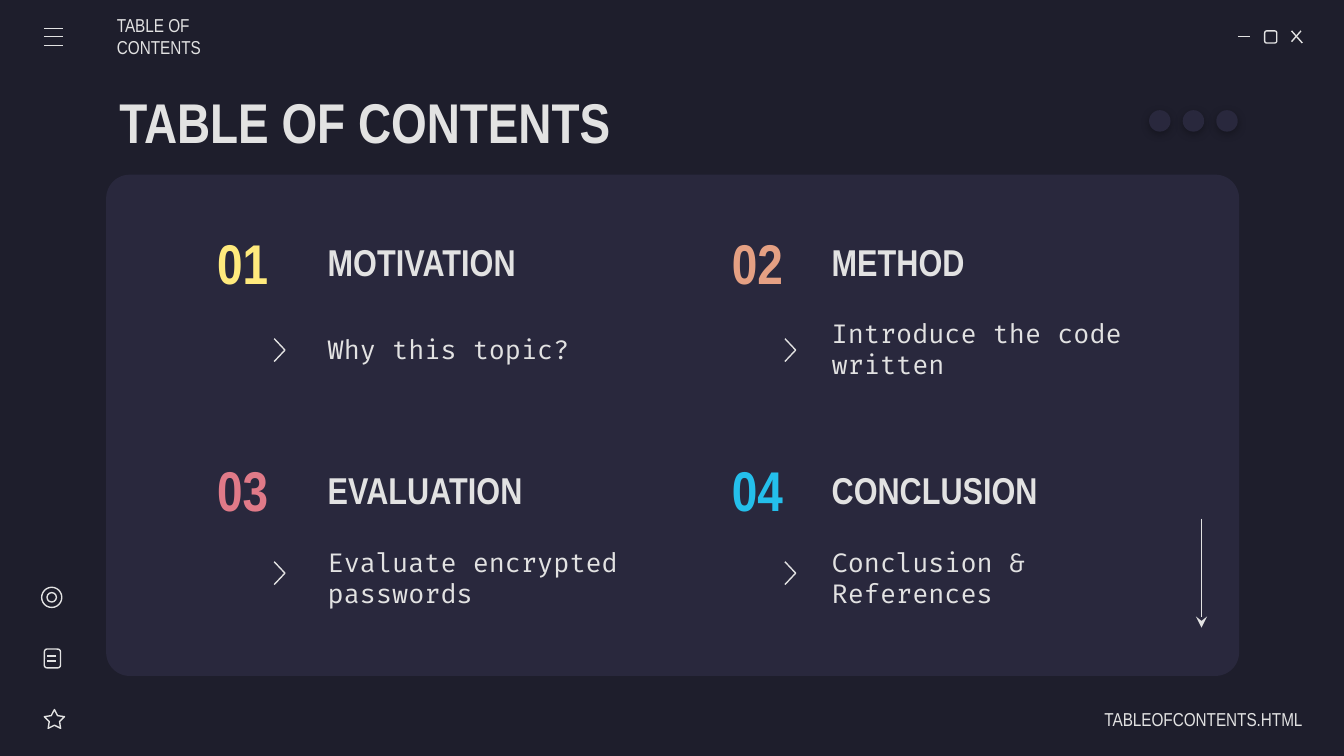
from dataclasses import dataclass

from lxml import etree
from pptx import Presentation
from pptx.dml.color import RGBColor
from pptx.enum.shapes import MSO_CONNECTOR as Connector, MSO_SHAPE as Shape
from pptx.enum.text import MSO_ANCHOR as Anchor, PP_ALIGN as Align
from pptx.oxml.ns import qn
from pptx.util import Inches, Pt


@dataclass(frozen=True)
class Theme:
    background: str = "1E1E2C"
    panel: str = "29283D"
    ink: str = "E2E2E2"
    shadow: str = "000000"
    numbers: tuple = ("FFEA7D", "E5A083", "E07A88", "24BFEB")
    heading_font: str = "Arial Narrow"
    code_font: str = "Fira Code"
    title_size: int = 30
    heading_size: int = 20
    body_size: int = 14
    label_size: int = 10
    line_width: float = 0.75


class SlideBuilder:
    def __init__(self, slide, theme):
        self.slide = slide
        self.theme = theme
        self.fill(slide.background, theme.background)

    def fill(self, target, color):
        target.fill.solid()
        target.fill.fore_color.rgb = RGBColor.from_string(color)

    def stroke(self, line):
        line.color.rgb = RGBColor.from_string(self.theme.ink)
        line.width = Pt(self.theme.line_width)

    def outline(self, shape):
        shape.shadow.inherit = False
        shape.fill.background()
        self.stroke(shape.line)

    def shape(self, kind, x, y, w, h, color=None, adjustments=()):
        """Filled shape when a color is given, otherwise an outlined one."""
        shape = self.slide.shapes.add_shape(
            kind, Inches(x), Inches(y), Inches(w), Inches(h))
        for index, value in enumerate(adjustments):
            shape.adjustments[index] = value
        if color:
            shape.shadow.inherit = False
            self.fill(shape, color)
            shape.line.fill.background()
        else:
            self.outline(shape)
        return shape

    def soft_shadow(self, shape):
        effects = shape._element.spPr.find(qn("a:effectLst"))
        outer = etree.SubElement(
            effects, qn("a:outerShdw"), blurRad=str(Pt(4.5)),
            dist=str(Pt(1.5)), dir="5400000", algn="bl", rotWithShape="0")
        color = etree.SubElement(outer, qn("a:srgbClr"), val=self.theme.shadow)
        etree.SubElement(color, qn("a:alpha"), val="30000")

    def line(self, x1, y1, x2, y2, arrow=False):
        line = self.slide.shapes.add_connector(
            Connector.STRAIGHT, Inches(x1), Inches(y1), Inches(x2), Inches(y2))
        self.stroke(line.line)
        properties = line._element.spPr
        if arrow:
            etree.SubElement(properties.find(qn("a:ln")), qn("a:tailEnd"),
                             type="stealth", w="med", len="med")
        etree.SubElement(properties, qn("a:effectLst"))

    def chevron(self, x, y, w=0.08, h=0.17):
        builder = self.slide.shapes.build_freeform(Inches(x), Inches(y))
        builder.add_line_segments(
            [(Inches(x + w), Inches(y + h / 2)), (Inches(x), Inches(y + h))],
            close=False)
        self.outline(builder.convert_to_shape())

    def text(self, text, x, y, w, h, size, color=None, font=None, bold=False,
             align=Align.LEFT, left=0.1, right=0.1):
        box = self.slide.shapes.add_textbox(
            Inches(x), Inches(y), Inches(w), Inches(h))
        frame = box.text_frame
        frame.word_wrap = True
        frame.vertical_anchor = Anchor.MIDDLE
        frame.margin_left, frame.margin_right = Inches(left), Inches(right)
        frame.margin_top = frame.margin_bottom = Inches(0.1)
        frame.text = text
        paragraph = frame.paragraphs[0]
        paragraph.alignment = align
        for run in paragraph.runs:
            run.font.name = font or self.theme.heading_font
            run.font.size = Pt(size)
            run.font.bold = bold
            run.font.color.rgb = RGBColor.from_string(color or self.theme.ink)


def main():
    theme = Theme()
    presentation = Presentation()
    presentation.slide_width = Inches(10)
    presentation.slide_height = Inches(10 * 9 / 16)
    slide = presentation.slides.add_slide(presentation.slide_layouts[6])
    page = SlideBuilder(slide, theme)

    # Content panel
    page.shape(Shape.ROUNDED_RECTANGLE, 0.79, 1.3, 8.43, 3.73,
               theme.panel, [0.047])

    # Window controls: minimize, maximize, close
    page.line(9.21, 0.27, 9.3, 0.27)
    page.shape(Shape.ROUNDED_RECTANGLE, 9.41, 0.23, 0.09, 0.09)
    page.line(9.61, 0.23, 9.69, 0.32)
    page.line(9.68, 0.23, 9.61, 0.31)

    # Chapters in a two by two grid
    chapters = (
        ("MOTIVATION", "Why this topic?"),
        ("METHOD", "Introduce the code written"),
        ("EVALUATION", "Evaluate encrypted passwords"),
        ("CONCLUSION", "Conclusion & References"),
    )
    columns = ((1.35, 2.34, 2.04, 2.99), (5.18, 6.09, 5.84, 2.84))
    rows = ((1.67, 2.22, 2.52), (3.36, 3.92, 4.18))
    for index, (heading, summary) in enumerate(chapters):
        number_x, heading_x, chevron_x, summary_width = columns[index % 2]
        heading_y, summary_y, chevron_y = rows[index // 2]
        page.text(heading, heading_x, heading_y, 2.56, 0.56,
                  theme.heading_size, bold=True)
        page.text(f"{index + 1:02}", number_x, heading_y, 0.91, 0.56,
                  theme.title_size, theme.numbers[index], bold=True,
                  align=Align.CENTER)
        page.text(summary, heading_x, summary_y, summary_width, 0.75,
                  theme.body_size, font=theme.code_font)
        page.chevron(chevron_x, chevron_y)

    # Title, tab label and file name
    page.text("TABLE OF CONTENTS", 0.79, 0.59, 8.43, 0.63,
              theme.title_size, bold=True)
    page.text("TABLE OF CONTENTS", 0.87, 0.12, 1.17, 0.3,
              theme.label_size, left=0)
    page.text("TABLEOFCONTENTS.HTML", 7.88, 5.2, 1.81, 0.3,
              theme.label_size, align=Align.RIGHT, right=0)

    # Menu icon
    for menu_y in (0.21, 0.27, 0.34):
        page.line(0.33, menu_y, 0.47, menu_y)

    # Sidebar icons: star, document, target
    page.shape(Shape.STAR_5_POINT, 0.33, 5.28, 0.15, 0.14,
               adjustments=[0.254])
    page.shape(Shape.ROUNDED_RECTANGLE, 0.33, 4.83, 0.12, 0.14)
    for text_line_y in (4.88, 4.92):
        page.line(0.35, text_line_y, 0.42, text_line_y)
    for ring_inset in (0, 0.04):
        diameter = 0.15 - 2 * ring_inset
        page.shape(Shape.OVAL, 0.31 + ring_inset, 4.37 + ring_inset,
                   diameter, diameter)

    # Scroll arrow
    page.line(8.94, 3.86, 8.94, 4.67, arrow=True)

    # Decorative dots
    for dot in range(3):
        page.soft_shadow(page.shape(Shape.OVAL, 8.55 + 0.25 * dot, 0.82,
                                    0.16, 0.16, theme.panel))

    presentation.save("out.pptx")


if __name__ == "__main__":
    main()
